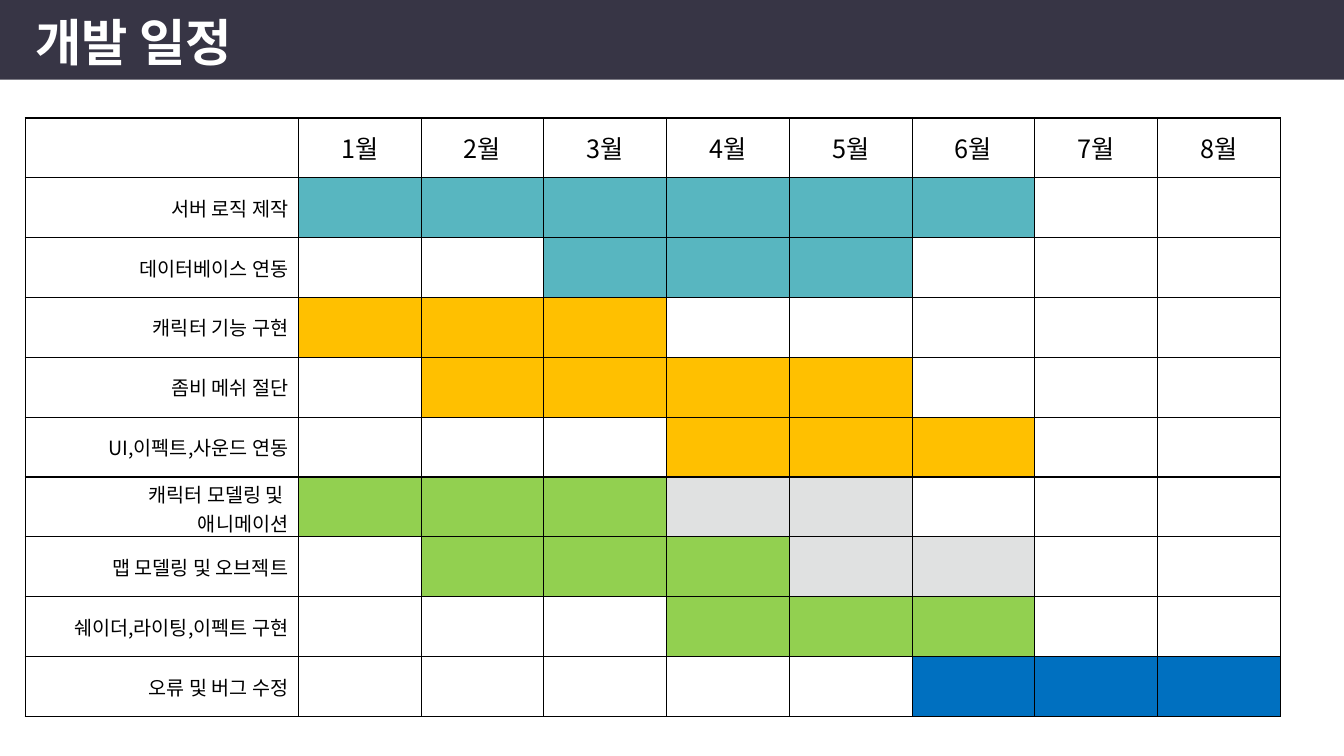
import pptx
import pptx.dml.color
import pptx.enum.shapes
import pptx.enum.text
import pptx.oxml.ns
import pptx.util
from lxml import etree
from pptx.util import Inches

BODY_FONT = "Noto Sans CJK KR"
SERVER, CLIENT, ART, SPARE, FIXES = "58B6C0", "FFC000", "92D050", "E0E1E1", "0070C0"
MONTHS = 8

# Task label lines, then bars as (first month, last month, colour)
TASKS = [
    (["서버 로직 제작"], [(1, 6, SERVER)]),
    (["데이터베이스 연동"], [(3, 5, SERVER)]),
    (["캐릭터 기능 구현"], [(1, 3, CLIENT)]),
    (["좀비 메쉬 절단"], [(2, 5, CLIENT)]),
    (["UI,이펙트,사운드 연동"], [(4, 6, CLIENT)]),
    (["캐릭터 모델링 및 ", "애니메이션"], [(1, 3, ART), (4, 5, SPARE)]),
    (["맵 모델링 및 오브젝트"], [(2, 4, ART), (5, 6, SPARE)]),
    (["쉐이더,라이팅,이펙트 구현"], [(4, 6, ART)]),
    (["오류 및 버그 수정"], [(6, 8, FIXES)]),
]


def colour(hex_code):
    return pptx.dml.color.RGBColor.from_string(hex_code)


def add_run(paragraph, text, size, font, hex_code, bold=False):
    run = paragraph.add_run()
    run.text = text
    run.font.size = pptx.util.Pt(size)
    run.font.name = font
    run.font.bold = bold
    run.font.color.rgb = colour(hex_code)
    # Korean glyphs take the East Asian font
    east_asian = etree.SubElement(run.font._element, pptx.oxml.ns.qn("a:ea"))
    east_asian.set("typeface", BODY_FONT)


def add_title_bar(slide, title):
    bar = slide.shapes.add_shape(pptx.enum.shapes.MSO_SHAPE.RECTANGLE,
                                 0, 0, Inches(13.33), Inches(0.79))
    bar.shadow.inherit = False
    bar.fill.solid()
    bar.fill.fore_color.rgb = colour("373545")
    bar.line.fill.background()

    heading = slide.shapes.add_textbox(Inches(0.25), Inches(0.06), Inches(2.36), Inches(0.71))
    frame = heading.text_frame
    frame.word_wrap = False
    frame.auto_size = pptx.enum.text.MSO_AUTO_SIZE.SHAPE_TO_FIT_TEXT
    add_run(frame.paragraphs[0], title, 36, "Arial", "FFFFFF", bold=True)


def set_borders(cell):
    properties = cell._tc.get_or_add_tcPr()
    for position, side in enumerate(("lnL", "lnR", "lnT", "lnB")):
        line = etree.Element(pptx.oxml.ns.qn("a:" + side), w=str(pptx.util.Pt(1)))
        fill = etree.SubElement(line, pptx.oxml.ns.qn("a:solidFill"))
        etree.SubElement(fill, pptx.oxml.ns.qn("a:srgbClr"), val="000000")
        properties.insert(position, line)


def write_cell(cell, lines, size, alignment):
    cell.vertical_anchor = pptx.enum.text.MSO_ANCHOR.MIDDLE
    frame = cell.text_frame
    for index, text in enumerate(lines):
        paragraph = frame.add_paragraph() if index else frame.paragraphs[0]
        paragraph.alignment = alignment
        add_run(paragraph, text, size, BODY_FONT, "000000")
    if len(lines) > 1:
        # Two lines only fit the row with tighter margins
        cell.margin_top, cell.margin_bottom = Inches(0.03), 0


def add_schedule(slide):
    row_count = len(TASKS) + 1
    schedule = slide.shapes.add_table(row_count, MONTHS + 1, Inches(0.25), Inches(1.17),
                                      Inches(12.45), Inches(5.94)).table
    schedule.first_row = False
    schedule.horz_banding = False
    for row in schedule.rows:
        row.height = Inches(5.94 / row_count)
    for index, column in enumerate(schedule.columns):
        column.width = Inches((12.45 - 2.71) / MONTHS if index else 2.71)

    # Plain grid
    for cell in schedule.iter_cells():
        cell.fill.background()
        set_borders(cell)

    # Month headings
    for month in range(1, MONTHS + 1):
        write_cell(schedule.cell(0, month), [f"{month}월"], 18, pptx.enum.text.PP_ALIGN.CENTER)

    # Task labels and their bars
    for row, (label, bars) in enumerate(TASKS, start=1):
        write_cell(schedule.cell(row, 0), label, 14, pptx.enum.text.PP_ALIGN.RIGHT)
        for first, last, bar_colour in bars:
            for month in range(first, last + 1):
                cell = schedule.cell(row, month)
                cell.fill.solid()
                cell.fill.fore_color.rgb = colour(bar_colour)


def main():
    deck = pptx.Presentation()
    deck.slide_width, deck.slide_height = Inches(13.33), Inches(7.5)
    slide = deck.slides.add_slide(deck.slide_layouts[6])
    add_title_bar(slide, "개발 일정")
    add_schedule(slide)
    deck.save("out.pptx")


if __name__ == "__main__":
    main()
